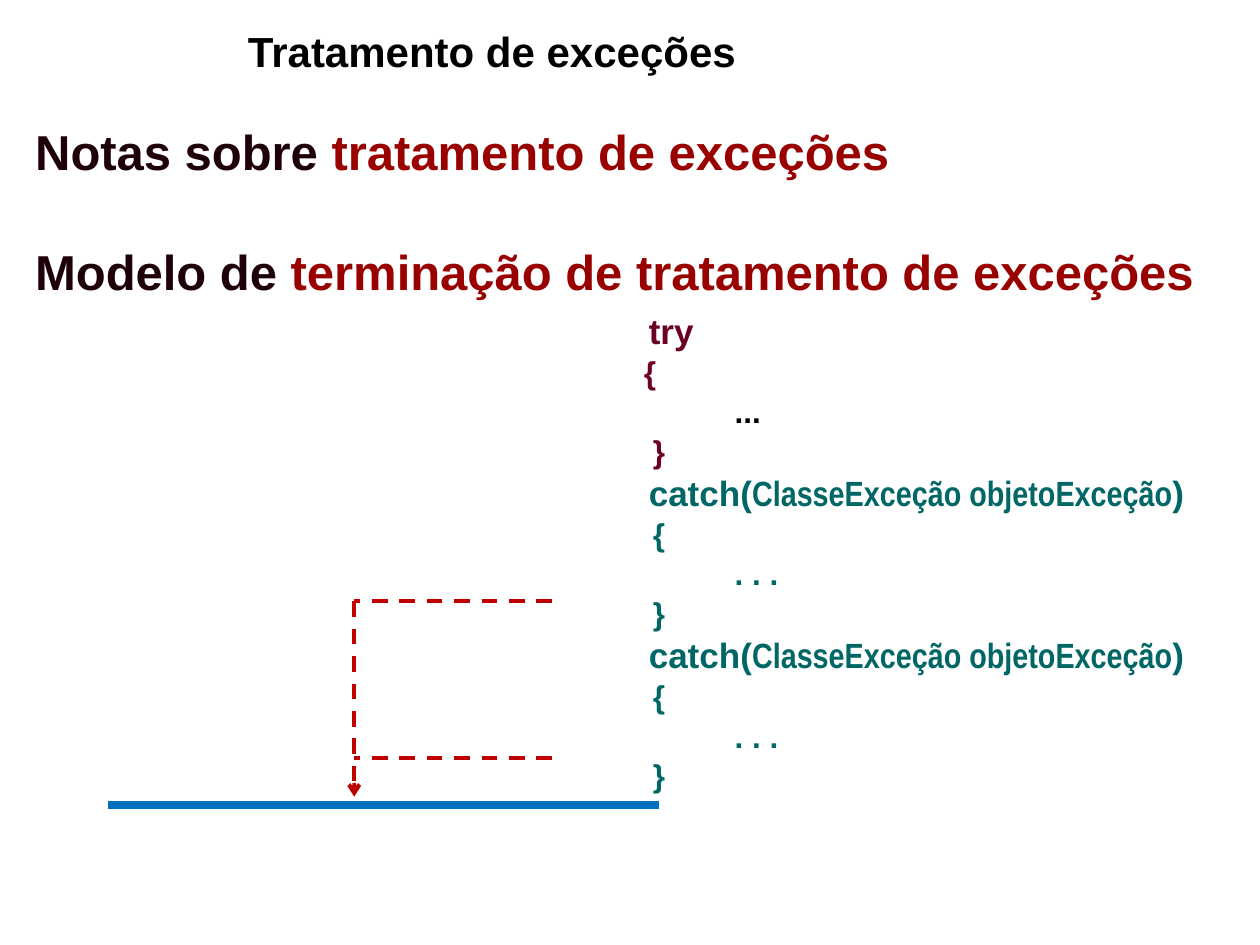
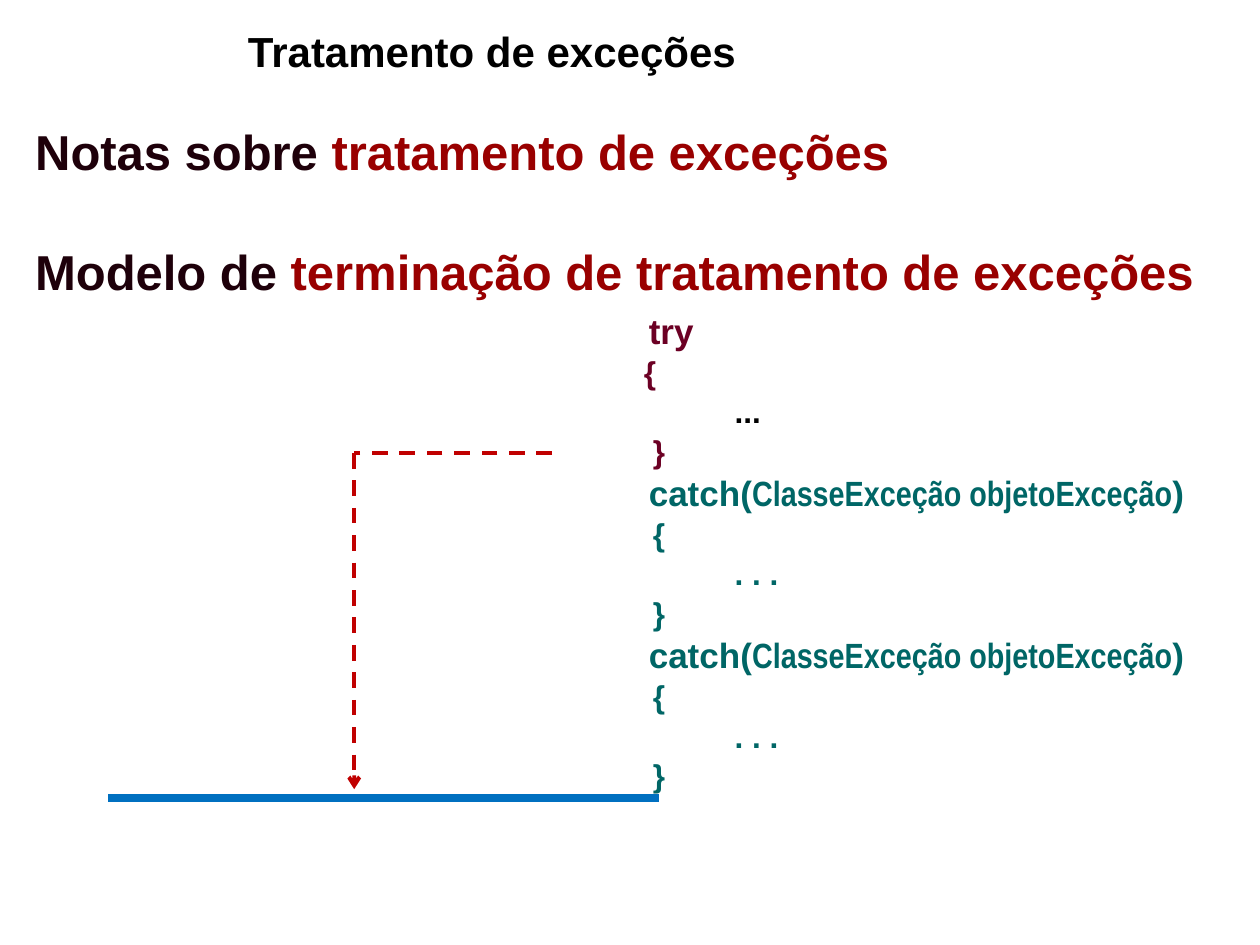
from lxml import etree
from pptx import Presentation
from pptx.dml.color import RGBColor
from pptx.enum.dml import MSO_LINE
from pptx.enum.shapes import MSO_CONNECTOR
from pptx.enum.text import MSO_ANCHOR
from pptx.oxml.ns import qn
from pptx.util import Cm, Pt

DASH = MSO_LINE.DASH
STRAIGHT = MSO_CONNECTOR.STRAIGHT
TOP, MIDDLE = MSO_ANCHOR.TOP, MSO_ANCHOR.MIDDLE

WHITE, BLACK = "FFFFFF", "000000"
DARK, RED = "1E000A", "990000"
TRY_COLOR, CATCH_COLOR = "6C0024", "006666"
FLOW_COLOR, END_COLOR = "C00000", "0070C0"
FONT, NARROW = "Arial", "Arial Narrow"

# Code lines: runs as (text, font), size in points, colour, indent in cm
CATCH_BLOCK = [
    ([("catch(", FONT), ("ClasseExceção objetoExceção", NARROW), (")", FONT)],
     20, CATCH_COLOR, 4.8),
    ([("{", FONT)], 18, CATCH_COLOR, 4.88),
    ([(". . .", FONT)], 18, CATCH_COLOR, 6.53),
    ([("}", FONT)], 18, CATCH_COLOR, 4.88),
]
CODE = [
    ([("try", FONT)], 20, TRY_COLOR, 4.8),
    ([("{", FONT)], 18, TRY_COLOR, 4.7),
    ([("...", FONT)], 18, BLACK, 6.53),
    ([("}", FONT)], 18, TRY_COLOR, 4.88),
] + CATCH_BLOCK * 2

HEADINGS = [
    ("Notas sobre ", "tratamento de exceções", 3),
    ("Modelo de ", "terminação de tratamento de exceções", 35),
]

FLOW_LEFT, FLOW_RIGHT = 7.14, 11.13
END_LEFT, END_RIGHT = 2.18, 13.28
ARROW_GAP = 0.17


def rgb(value):
    return RGBColor.from_string(value)


def add_text_box(slide, left, top, width, height, inset=0.0, anchor=TOP, fill=None):
    sp = slide.shapes.add_textbox(Cm(left), Cm(top), Cm(width), Cm(height))
    if fill:
        sp.fill.solid()
        sp.fill.fore_color.rgb = rgb(fill)
    tf = sp.text_frame
    tf.word_wrap = True
    tf.vertical_anchor = anchor
    tf.margin_left, tf.margin_right = Cm(inset), Cm(0.25)
    tf.margin_top = tf.margin_bottom = Cm(0.13)
    return tf


def add_paragraph(tf, size, indent=0.0, before=0.0):
    """Start a bold paragraph, reusing the empty first one of the frame."""
    first = tf.paragraphs[0]
    p = tf.add_paragraph() if first.runs else first
    p.font.size, p.font.bold, p.font.name = Pt(size), True, FONT
    p.space_before = Pt(before)
    p._p.get_or_add_pPr().set("marL", str(Cm(indent)))
    return p


def add_run(p, text, color=None, font=None):
    r = p.add_run()
    r.text = text
    if color:
        r.font.color.rgb = rgb(color)
    if font:
        r.font.name = font


def add_line(slide, start, end, color, width, dashed=False, arrow=False):
    points = [Cm(v) for v in (*start, *end)]
    line = slide.shapes.add_connector(STRAIGHT, *points)
    line.line.color.rgb = rgb(color)
    line.line.width = Pt(width)
    if dashed:
        line.line.dash_style = DASH
    if arrow:
        etree.SubElement(line.line._get_or_add_ln(), qn("a:tailEnd"), type="arrow")
    etree.SubElement(line._element.spPr, qn("a:effectLst"))


def add_title(slide):
    tf = add_text_box(slide, 4.75, 0.13, 17.35, 1.78, 0.25, MIDDLE, WHITE)
    p = add_paragraph(tf, 24)
    p.font.color.rgb = rgb(BLACK)
    add_run(p, "Tratamento de exceções")


def add_headings(slide):
    tf = add_text_box(slide, 0, 2.31, 25.4, 16.74)
    for lead, topic, before in HEADINGS:
        p = add_paragraph(tf, 28, 0.71, before)
        add_run(p, lead, DARK)
        add_run(p, topic, RED)


def add_code(slide):
    tf = add_text_box(slide, 8.28, 6.1, 16.46, 9.93, fill=WHITE)
    for i, (runs, size, color, indent) in enumerate(CODE):
        p = add_paragraph(tf, size, indent, 0.95 if i else 2)
        p.font.color.rgb = rgb(color)
        for text, font in runs:
            add_run(p, text, font=None if font == FONT else font)


def add_flow(slide, exits, end):
    """Dashed exits from the code join one arrow down to the end line."""
    for y in exits:
        add_line(slide, (FLOW_RIGHT, y), (FLOW_LEFT, y), FLOW_COLOR, 2.25, dashed=True)
    add_line(slide, (FLOW_LEFT, exits[0]), (FLOW_LEFT, end - ARROW_GAP),
             FLOW_COLOR, 2.25, dashed=True, arrow=True)
    add_line(slide, (END_RIGHT, end), (END_LEFT, end), END_COLOR, 4.5)


def main():
    prs = Presentation()
    prs.slide_width, prs.slide_height = Cm(25.4), Cm(19.05)
    for exits, end in (((12.12, 15.28), 16.23), ((9.13,), 16.08)):
        slide = prs.slides.add_slide(prs.slide_layouts[6])
        add_title(slide)
        add_headings(slide)
        add_code(slide)
        add_flow(slide, exits, end)
    prs.save("out.pptx")


if __name__ == "__main__":
    main()
